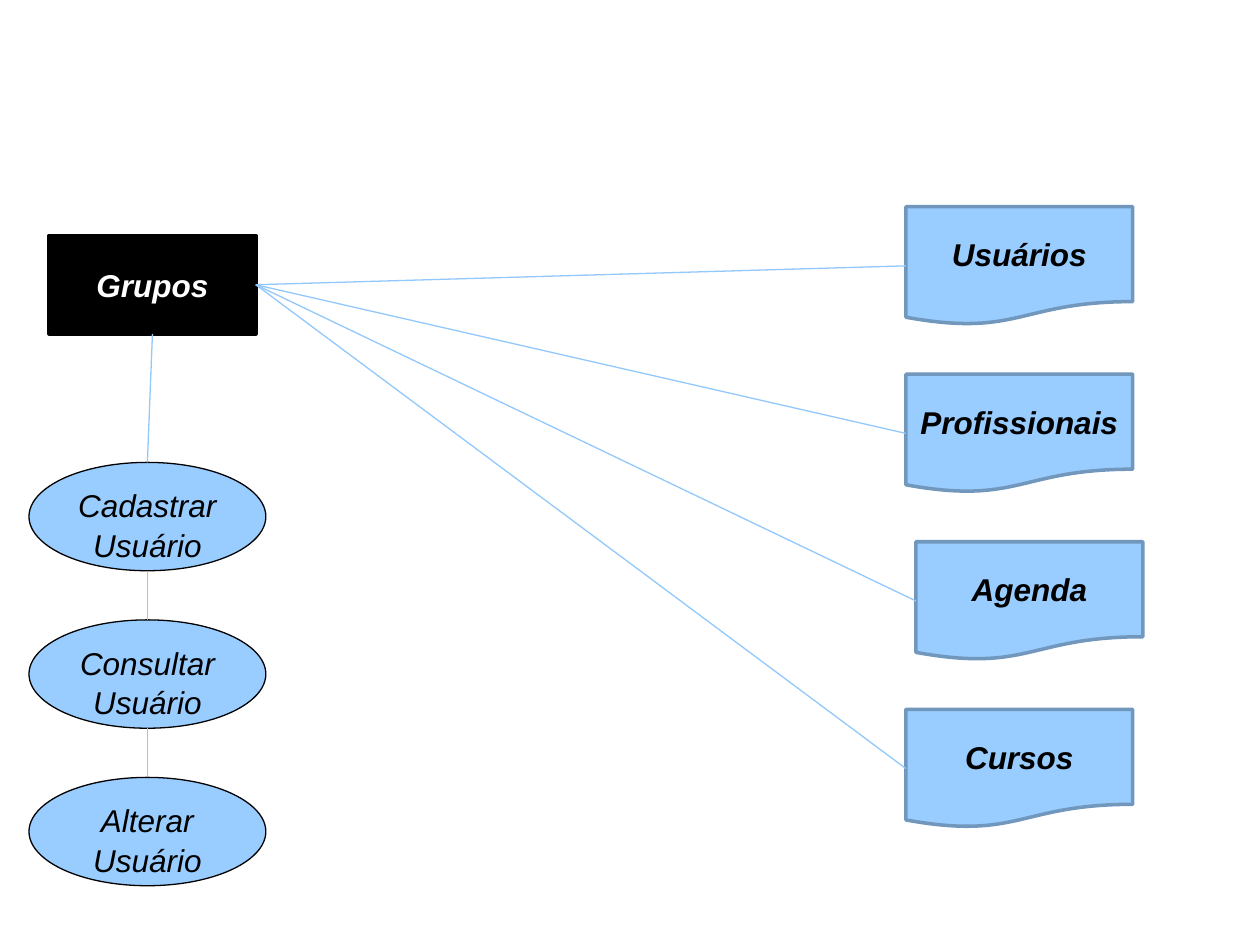
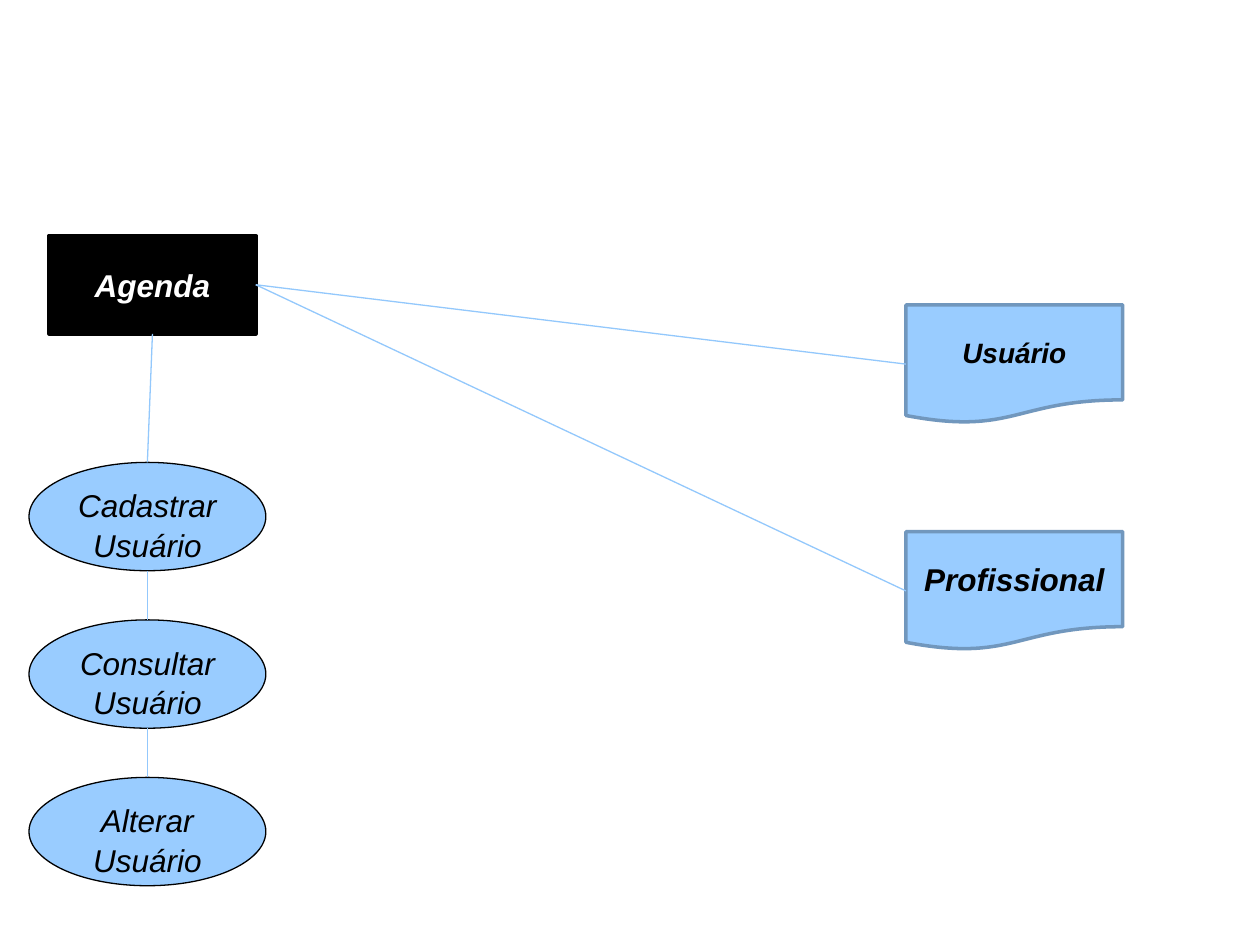
from pptx import Presentation
from pptx.dml.color import RGBColor
from pptx.enum.shapes import MSO_CONNECTOR, MSO_SHAPE
from pptx.enum.text import MSO_ANCHOR, PP_ALIGN
from pptx.oxml.ns import qn
from pptx.util import Inches, Pt
from lxml import etree

PROCESS = MSO_SHAPE.FLOWCHART_PROCESS
DOCUMENT = MSO_SHAPE.FLOWCHART_DOCUMENT
OVAL = MSO_SHAPE.OVAL
STRAIGHT = MSO_CONNECTOR.STRAIGHT
MIDDLE, TOP_ANCHOR = MSO_ANCHOR.MIDDLE, MSO_ANCHOR.TOP
CENTER = PP_ALIGN.CENTER
TOP, LEFT, BOTTOM, RIGHT = range(4)

COLORS = {
    "black": "000000",
    "white": "FFFFFF",
    "box": "99CCFF",
    "border": "7197BD",
    "link": "93C8FC",
}
FONT = "Arial"
ACTIONS = ["Cadastrar Usuário", "Consultar Usuário", "Alterar Usuário"]
ACTION_TOP, ACTION_STEP = 3.67, 1.25


def rgb(name):
    return RGBColor.from_string(COLORS[name])


class Diagram:
    def __init__(self, prs):
        self.prs = prs
        self.slide = None

    def new_slide(self):
        self.slide = self.prs.slides.add_slide(self.prs.slide_layouts[6])

    def node(self, kind, text, box, fill, line, width, color="black",
             size=18, bold=True, anchor=MIDDLE):
        sp = self.slide.shapes.add_shape(kind, *map(Inches, box))
        sp.shadow.inherit = False
        sp.fill.solid()
        sp.fill.fore_color.rgb = rgb(fill)
        sp.line.color.rgb = rgb(line)
        sp.line.width = Pt(width)
        tf = sp.text_frame
        tf.word_wrap = True
        tf.vertical_anchor = anchor
        p = tf.paragraphs[0]
        p.text = text
        p.alignment = CENTER
        p.font.name = FONT
        p.font.size = Pt(size)
        p.font.bold = bold
        p.font.italic = True
        p.font.color.rgb = rgb(color)
        return sp

    def entity(self, text):
        return self.node(PROCESS, text, (0.39, 1.87, 1.64, 0.78),
                         "black", "black", 2, color="white")

    def document(self, text, left, top, width, size=18):
        return self.node(DOCUMENT, text, (left, top, width, 0.94),
                         "box", "border", 2, size=size)

    def action(self, text, top):
        sp = self.node(OVAL, text, (0.23, top, 1.88, 0.86),
                       "box", "black", 0.75, bold=False, anchor=TOP_ANCHOR)
        sp.text_frame.paragraphs[0].line_spacing = 1.05
        return sp

    def link(self, start, end, start_side, end_side):
        x, y = start.left + start.width // 2, start.top + start.height
        cn = self.slide.shapes.add_connector(STRAIGHT, x, y, x, y)
        if start.auto_shape_type != OVAL:
            cn.begin_connect(start, start_side)
        cn.end_connect(end, end_side)
        cn.line.color.rgb = rgb("link")
        cn.line.width = Pt(0.75)
        sp_pr = cn._element.find(qn("p:spPr"))
        etree.SubElement(sp_pr, qn("a:effectLst"))

    def build(self, name, documents):
        self.new_slide()
        entity = self.entity(name)
        for spec_row in documents:
            self.link(entity, self.document(*spec_row), RIGHT, LEFT)
        previous = entity
        for i, text in enumerate(ACTIONS):
            action = self.action(text, ACTION_TOP + i * ACTION_STEP)
            self.link(previous, action, BOTTOM, TOP)
            previous = action


def main():
    prs = Presentation()
    prs.slide_width, prs.slide_height = Inches(10), Inches(7.5)
    diagram = Diagram(prs)
    group_documents = [("Usuários", 7.19), ("Profissionais", 7.19),
                       ("Agenda", 7.27), ("Cursos", 7.19)]
    diagram.build("Grupos", [(text, left, 1.64 + i * 1.33, 1.8)
                             for i, (text, left) in enumerate(group_documents)])
    diagram.build("Agenda", [("Usuário", 7.19, 2.42, 1.72, 16),
                             ("Profissional", 7.19, 4.22, 1.72)])
    prs.save("out.pptx")


if __name__ == "__main__":
    main()
